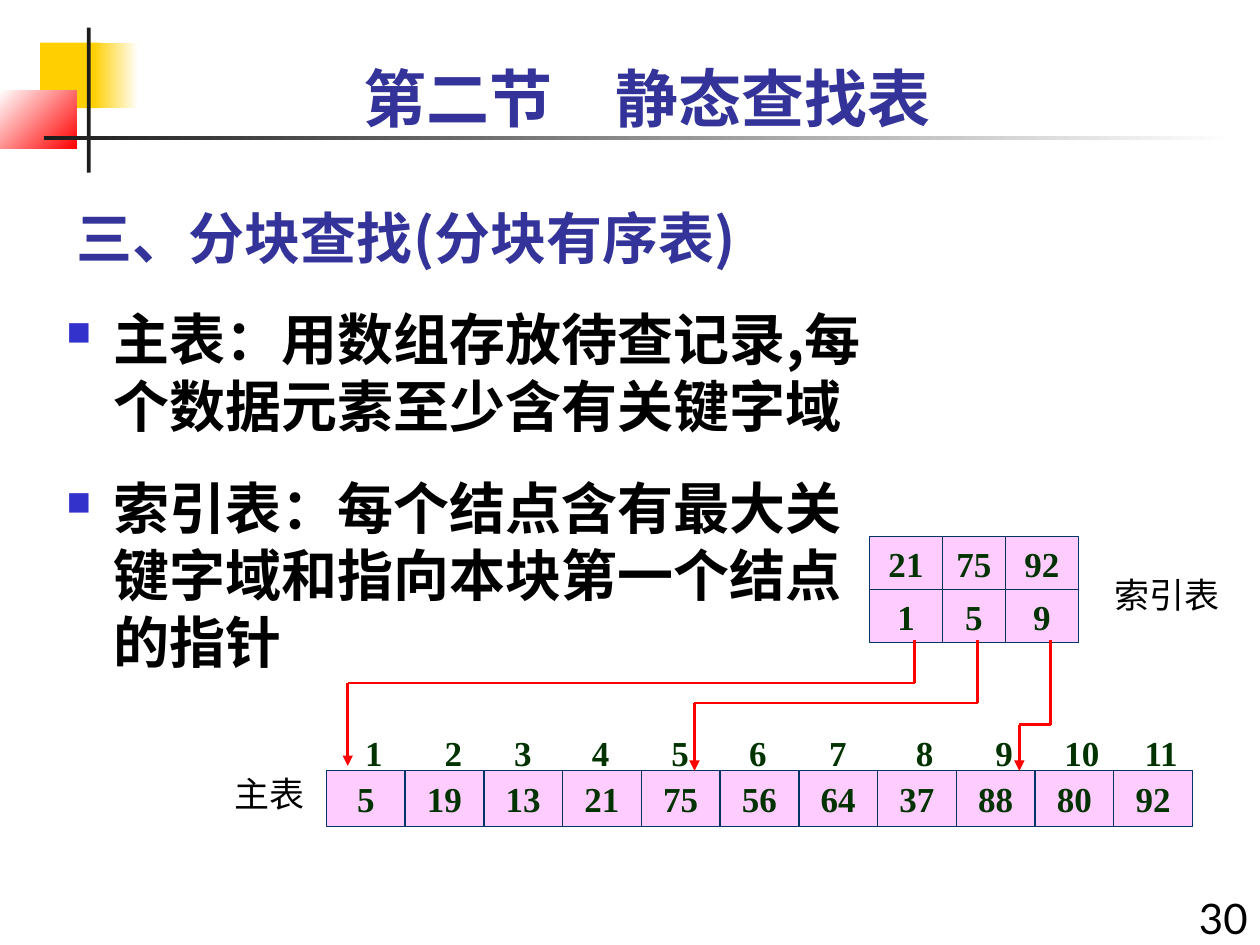
from typing import NamedTuple

from lxml.etree import SubElement
from pptx import Presentation
from pptx.dml.color import RGBColor
from pptx.enum.shapes import MSO_CONNECTOR, MSO_SHAPE
from pptx.enum.text import MSO_ANCHOR, PP_ALIGN
from pptx.oxml.ns import qn
from pptx.util import Cm, Pt

HUES = {
    "gold": "FFCF01", "white": "FFFFFF", "red": "FF0000", "dark": "1C1C1C",
    "navy": "333399", "black": "000000", "green": "003300", "pink": "FFCCFF",
    "edge": "003366", "bullet": "3333CC",
}
HAN, SANS, SERIF = "Noto Sans CJK SC", "Lato", "Times New Roman"
MAIN = (5, 19, 13, 21, 75, 56, 64, 37, 88, 80, 92)
STOPS = (1.78, 3.18, 4.75, 6.35, 7.92, 9.53, 11.28, 12.88, 14.45, 16.05)


class Box(NamedTuple):
    left: float
    top: float
    width: float
    height: float


class Block(NamedTuple):
    box: Box
    hues: tuple
    angle: int = 0


class Entry(NamedTuple):
    left: float
    width: float
    key: int
    start: int


class Route(NamedTuple):
    left: float
    turn: float
    end: float
    tip: float


BLOCKS = (
    Block(Box(0.81, 0.86, 1.22, 1.32), ("gold",)),
    Block(Box(1.88, 0.86, 0.91, 1.32), ("gold", "white")),
    Block(Box(0, 1.83, 1.55, 1.17), ("white", "red"), 315),
    Block(Box(1.75, 0.56, 0.08, 2.92), ("dark",)),
    Block(Box(0.89, 2.74, 24, 0.08), ("dark", "white")),
)
INDEX = (Entry(17.53, 1.47, 21, 1), Entry(19, 1.27, 75, 5), Entry(20.27, 1.47, 92, 9))
ROUTES = (
    Route(18.44, 13.77, 7.01, 15.44),
    Route(19.71, 14.17, 14, 15.54),
    Route(21.18, 14.61, 20.55, 15.54),
)


def hue(name: str) -> RGBColor:
    return RGBColor.from_string(HUES[name])


def write(frame, *lines: str, size=20, font=SANS, color="black", bold=False,
          align=PP_ALIGN.LEFT, anchor=MSO_ANCHOR.TOP, wrap=True, pad=0.25,
          bullet="", pitch=None, gap=0, tabs=()) -> None:
    frame.word_wrap = wrap
    frame.vertical_anchor = anchor
    frame.margin_left = frame.margin_right = Cm(pad)
    frame.margin_top = frame.margin_bottom = Cm(0.13)
    for rank, line in enumerate(lines):
        para = frame.add_paragraph() if rank else frame.paragraphs[0]
        props = para._p.get_or_add_pPr()
        if bullet:
            props.set("marL", str(Cm(0.95)))
            props.set("indent", str(-Cm(0.95)))
            tint = SubElement(props, qn("a:buClr"))
            SubElement(tint, qn("a:srgbClr"), val=HUES["bullet"])
            SubElement(props, qn("a:buSzPct"), val="60000")
            SubElement(props, qn("a:buChar"), char=bullet)
        if tabs:
            stops = SubElement(props, qn("a:tabLst"))
            for stop in tabs:
                SubElement(stops, qn("a:tab"), pos=str(Cm(stop)), algn="ctr")
        para.alignment = align
        para.space_before = Pt(gap if rank else 0)
        if pitch:
            para.line_spacing = Pt(pitch)
        run = para.add_run()
        run.text = line
        run.font.size, run.font.bold, run.font.name = Pt(size), bold, font
        run.font.color.rgb = hue(color)
        SubElement(run._r.get_or_add_rPr(), qn("a:ea"), typeface=font)


def label(slide, box: Box, *lines: str, **style) -> None:
    text = slide.shapes.add_textbox(*map(Cm, box))
    write(text.text_frame, *lines, **style)


def block(slide, item: Block):
    shape = slide.shapes.add_shape(MSO_SHAPE.RECTANGLE, *map(Cm, item.box))
    shape.shadow.inherit = False
    shape.line.fill.background()
    if len(item.hues) == 1:
        shape.fill.solid()
        shape.fill.fore_color.rgb = hue(item.hues[0])
    else:
        shape.fill.gradient()
        shape.fill.gradient_angle = item.angle
        for stop, name in zip(shape.fill.gradient_stops, item.hues):
            stop.color.rgb = hue(name)
    return shape


def cell(slide, box: Box, value: int) -> None:
    shape = block(slide, Block(box, ("pink",)))
    shape.line.color.rgb = hue("edge")
    shape.line.width = Pt(0.75)
    write(shape.text_frame, str(value), font=SERIF, color="green", bold=True,
          align=PP_ALIGN.CENTER, anchor=MSO_ANCHOR.MIDDLE, wrap=False)


def trace(slide, route: Route) -> None:
    points = ((route.left, 12.9), (route.left, route.turn),
              (route.end, route.turn), (route.end, route.tip))
    for start, end in zip(points, points[1:]):
        line = slide.shapes.add_connector(
            MSO_CONNECTOR.STRAIGHT, *map(Cm, start + end))
        line.line.color.rgb = hue("red")
        line.line.width = Pt(1.5)
        if end == points[-1]:
            SubElement(line.line._get_or_add_ln(), qn("a:tailEnd"), type="triangle")
        SubElement(line._element.spPr, qn("a:effectLst"))


def main() -> None:
    """Build the block search slide."""
    deck = Presentation()
    deck.slide_width, deck.slide_height = Cm(25.4), Cm(19.05)
    slide = deck.slides.add_slide(deck.slide_layouts[5])
    for item in BLOCKS:
        block(slide, item)

    title = slide.shapes.title
    title.left, title.top, title.width, title.height = map(Cm, (1.3, 3.68, 15.88, 1.9))
    write(title.text_frame, "三、分块查找(分块有序表)", size=32, font=HAN,
          color="navy", bold=True, anchor=MSO_ANCHOR.BOTTOM, pitch=38.4)
    label(slide, Box(23.7, 17.86, 1.7, 1.5), "30", size=24, align=PP_ALIGN.RIGHT)
    label(slide, Box(1.3, 1.07, 23.5, 1.78), "第二节\u3000静态查找表".replace("\u3000", "　"),
          size=36, color="navy", bold=True, align=PP_ALIGN.CENTER)
    label(slide, Box(1.09, 6, 16.94, 11.2),
          "主表：用数组存放待查记录,每个数据元素至少含有关键字域",
          "索引表：每个结点含有最大关键字域和指向本块第一个结点的指针",
          size=32, font=HAN, bold=True, bullet="■", pitch=38.4, gap=20)

    label(slide, Box(7.11, 14.61, 17.78, 1.12),
          "\t".join(str(n) for n in range(1, len(MAIN) + 1)),
          font=SERIF, color="green", bold=True, tabs=STOPS)
    step = 17.46 / len(MAIN)
    for rank, value in enumerate(MAIN):
        cell(slide, Box(6.58 + rank * step, 15.54, step, 1.12), value)
    for entry in INDEX:
        for row, value in enumerate((entry.key, entry.start)):
            cell(slide, Box(entry.left, 10.82 + row * 1.07, entry.width, 1.07), value)
    for route in ROUTES:
        trace(slide, route)
    label(slide, Box(4.47, 15.44, 2.11, 1.12), "主表")
    label(slide, Box(22.25, 11.43, 2.54, 1.12), "索引表", align=PP_ALIGN.CENTER, pad=0)
    deck.save("out.pptx")


if __name__ == "__main__":
    main()
